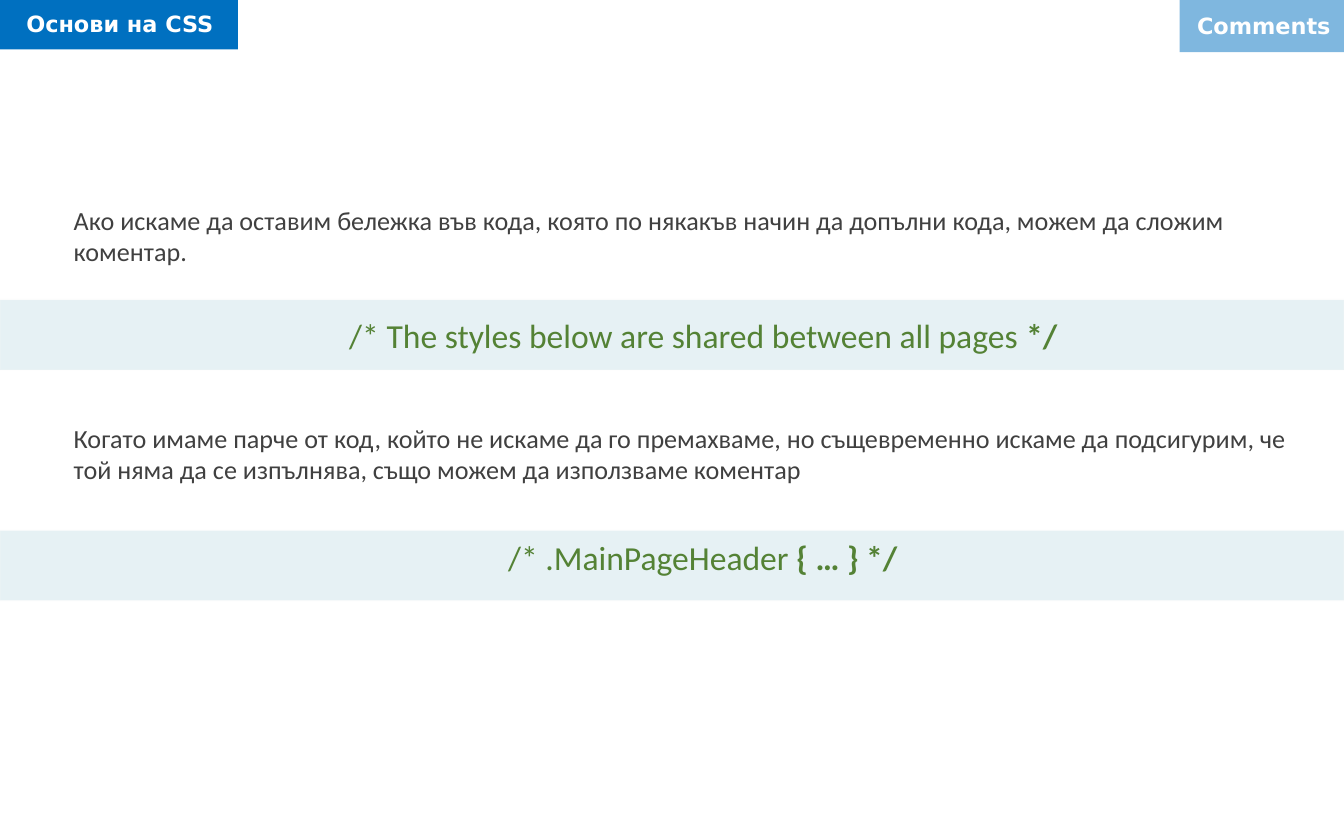
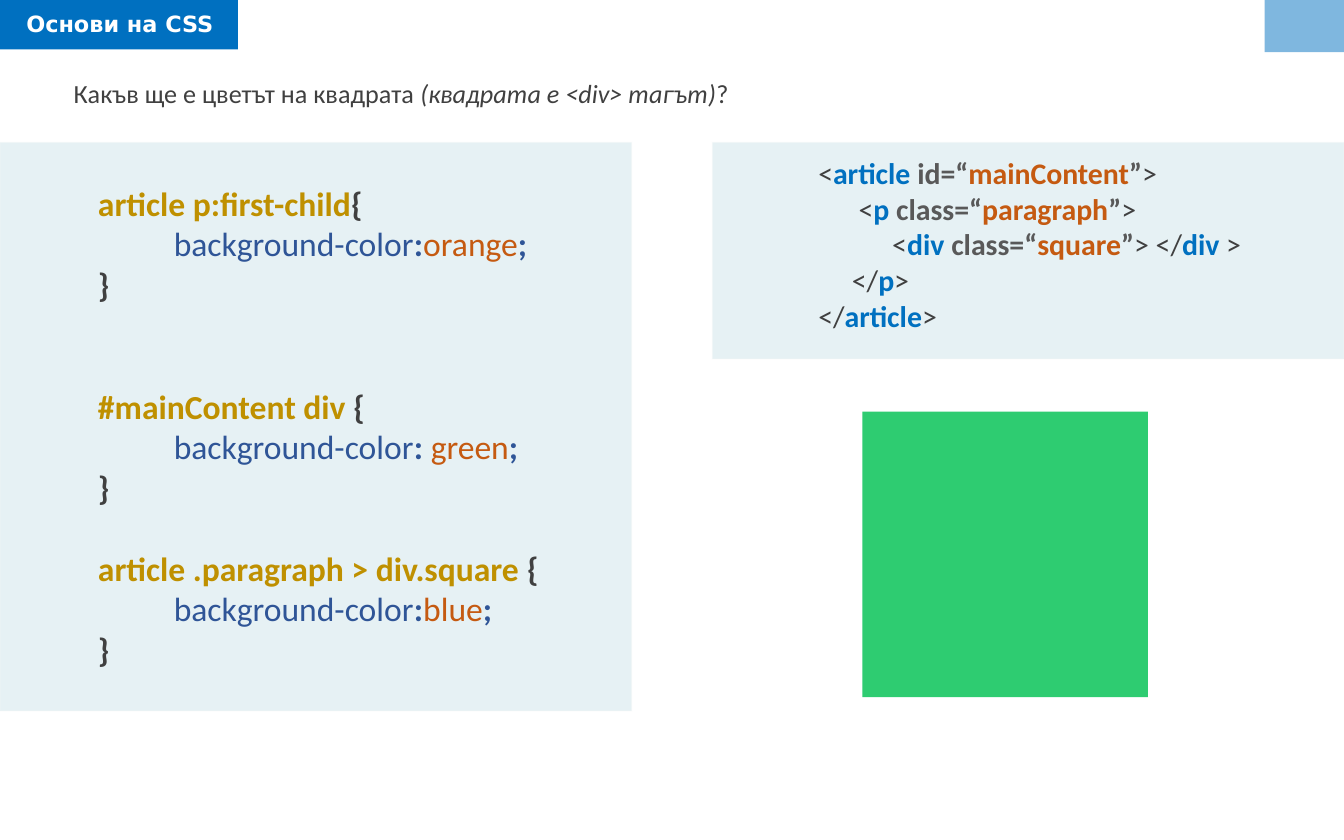
from dataclasses import dataclass
from typing import Optional

import pptx
import pptx.dml.color
import pptx.enum.shapes
import pptx.enum.text
import pptx.oxml
import pptx.oxml.ns
import pptx.util

Pt = pptx.util.Pt
ALIGN = pptx.enum.text.PP_ALIGN

COLORS = {
    "header": "0070C0",
    "panel": "127994",
    "outline": "F8F8F8",
    "white": "FFFFFF",
    "body": "404040",
    "comment": "548235",
    "selector": "BF9000",
    "property": "2F5597",
    "value": "C55A11",
    "tag": "0070C0",
    "attribute": "595959",
    "square": "2ECC71",
}
BODY_FONT = "Calibri"
HEADER_FONT = "DejaVu Sans"
SLIDE_W, SLIDE_H = 720, 450
CODE_LINE = 22


@dataclass(frozen=True)
class Box:
    x: float
    y: float
    w: float
    h: float


@dataclass(frozen=True)
class Run:
    text: str
    color: Optional[str] = None
    bold: Optional[bool] = None
    italic: Optional[bool] = None


@dataclass(frozen=True)
class Line:
    runs: tuple[Run, ...]
    before: float = 0


@dataclass(frozen=True)
class Style:
    size: float = 14
    color: Optional[str] = "body"
    font: str = BODY_FONT
    bold: Optional[bool] = None
    align: pptx.enum.text.PP_ALIGN = ALIGN.LEFT
    wrap: bool = True


@dataclass(frozen=True)
class Rule:
    selector: str
    value: str
    blank_lines: int = 0


BODY = Style()
HEADER = Style(12, "white", HEADER_FONT, True)
TAG = Style(12, "white", HEADER_FONT, True, ALIGN.RIGHT)
COMMENT = Style(18, "comment", align=ALIGN.CENTER)
CSS = Style(18, None, wrap=False)
HTML = Style(16, None)


def rgb(name: str) -> pptx.dml.color.RGBColor:
    return pptx.dml.color.RGBColor.from_string(COLORS[name])


def set_alpha(fill, percent: int) -> None:
    color = fill._xPr.find(pptx.oxml.ns.qn("a:solidFill"))[0]
    alpha = pptx.oxml.parse_xml(
        f'<a:alpha {pptx.oxml.ns.nsdecls("a")} val="{percent * 1000}"/>')
    color.append(alpha)


def add_rect(s, box: Box, color: str, alpha: int = 100):
    sp = s.shapes.add_shape(pptx.enum.shapes.MSO_SHAPE.RECTANGLE,
                            Pt(box.x), Pt(box.y), Pt(box.w), Pt(box.h))
    sp.shadow.inherit = False
    sp.fill.solid()
    sp.fill.fore_color.rgb = rgb(color)
    if alpha < 100:
        set_alpha(sp.fill, alpha)
    sp.line.fill.background()
    return sp


def add_panel(s, box: Box) -> None:
    sp = add_rect(s, box, "panel", 10)
    sp.line.width = Pt(1)
    sp.line.color.rgb = rgb("outline")
    set_alpha(sp.line.fill, 16)


def add_text(s, box: Box, lines: list[Line], style: Style) -> None:
    sp = s.shapes.add_textbox(Pt(box.x), Pt(box.y), Pt(box.w), Pt(box.h))
    tf = sp.text_frame
    tf.word_wrap = style.wrap
    tf.auto_size = pptx.enum.text.MSO_AUTO_SIZE.SHAPE_TO_FIT_TEXT
    for i, line in enumerate(lines):
        p = tf.add_paragraph() if i else tf.paragraphs[0]
        p.alignment = style.align
        if line.before:
            p.space_before = Pt(line.before)
        p.font.name = style.font
        p.font.size = Pt(style.size)
        p.font.bold = style.bold
        if style.color:
            p.font.color.rgb = rgb(style.color)
        for run in line.runs:
            r = p.add_run()
            r.text = run.text
            if run.color:
                r.font.color.rgb = rgb(run.color)
            if run.bold is not None:
                r.font.bold = run.bold
            if run.italic is not None:
                r.font.italic = run.italic


def add_body(s, y: float, h: float, *runs: Run) -> None:
    add_text(s, Box(32.4, y, 668, h), [Line(runs)], BODY)


def add_header(s, tag_w: float, tag: str = "") -> None:
    add_rect(s, Box(0, -1.5, 127.5, 28), "header")
    add_text(s, Box(7, 2, 120.5, 21.5), [Line((Run("Основи на CSS"),))], HEADER)
    add_rect(s, Box(SLIDE_W - tag_w, 0, tag_w, 28), "header", 50)
    if tag:
        add_text(s, Box(SLIDE_W - tag_w, 3, tag_w, 21.5), [Line((Run(tag),))], TAG)


def add_comment(s, box: Box, text: str, ending: str) -> None:
    add_text(s, box, [Line((Run(text), Run(ending, bold=True)))], COMMENT)


def css_lines(rule: Rule) -> list[Line]:
    return [
        Line((Run(rule.selector, "selector", True), Run("{", "body", True)),
             rule.blank_lines * CODE_LINE),
        Line((Run("          background-color", "property"), Run(":", "property", True),
              Run(rule.value, "value"), Run(";", "property", True))),
        Line((Run("}", "body", True),)),
    ]


def open_tag(indent: int, name: str, attribute: str, value: str) -> tuple[Run, ...]:
    return (Run(" " * indent + "<", "body"), Run(name + " ", "tag", True),
            Run(attribute + "=“", "attribute", True), Run(value, "value", True),
            Run("”", "attribute", True), Run(">", "body"))


def close_tag(indent: int, name: str) -> tuple[Run, ...]:
    return (Run(" " * indent + "</", "body"), Run(name, "tag", True), Run(">", "body"))


def build_comments(s) -> None:
    add_header(s, 88, "Comments")
    add_body(s, 106, 41, Run("Ако искаме да оставим бележка във кода, която по някакъв "
                             "начин да допълни кода, можем да сложим коментар."))
    add_body(s, 222.5, 41, Run("Когато имаме парче от код, който не искаме да го премахваме, "
                               "но същевременно искаме да подсигурим, че той няма да се "
                               "изпълнява, също можем да използваме коментар"))
    for y in (160.6, 284.2):
        add_panel(s, Box(0, y, SLIDE_W, 37.5))
    add_comment(s, Box(161.5, 165, 430.5, 29),
                "/* The styles below are shared between all pages", " */")
    add_comment(s, Box(206.5, 284.2, 340, 29), "/* .MainPageHeader", " { … } */")


def build_question(s) -> None:
    add_header(s, 42.5)
    add_body(s, 38, 24.5, Run("Какъв ще е цветът на квадрата "),
             Run("(квадрата е <div> тагът)", italic=True), Run("?"))
    add_panel(s, Box(0, 76.3, 338.4, 304.6))
    add_panel(s, Box(381.6, 76.3, 338.4, 116))
    add_rect(s, Box(462, 220.5, 153, 153), "square")
    rules = [
        Rule("article p:first-child", "orange"),
        Rule("#mainContent div ", " green", 2),
        Rule("article .paragraph > div.square ", "blue", 1),
    ]
    add_text(s, Box(45.4, 94.5, 256.5, 269),
             [line for rule in rules for line in css_lines(rule)], CSS)
    markup = [
        open_tag(0, "article", "id", "mainContent"),
        open_tag(6, "p", "class", "paragraph"),
        open_tag(11, "div", "class", "square") + close_tag(1, "div "),
        close_tag(5, "p"),
        close_tag(0, "article"),
    ]
    add_text(s, Box(431.3, 79.2, 269.3, 104.5), [Line(runs) for runs in markup], HTML)


def main() -> None:
    prs = pptx.Presentation()
    prs.slide_width, prs.slide_height = Pt(SLIDE_W), Pt(SLIDE_H)
    for build in (build_comments, build_question):
        build(prs.slides.add_slide(prs.slide_layouts[6]))
    prs.save("out.pptx")


if __name__ == "__main__":
    main()
